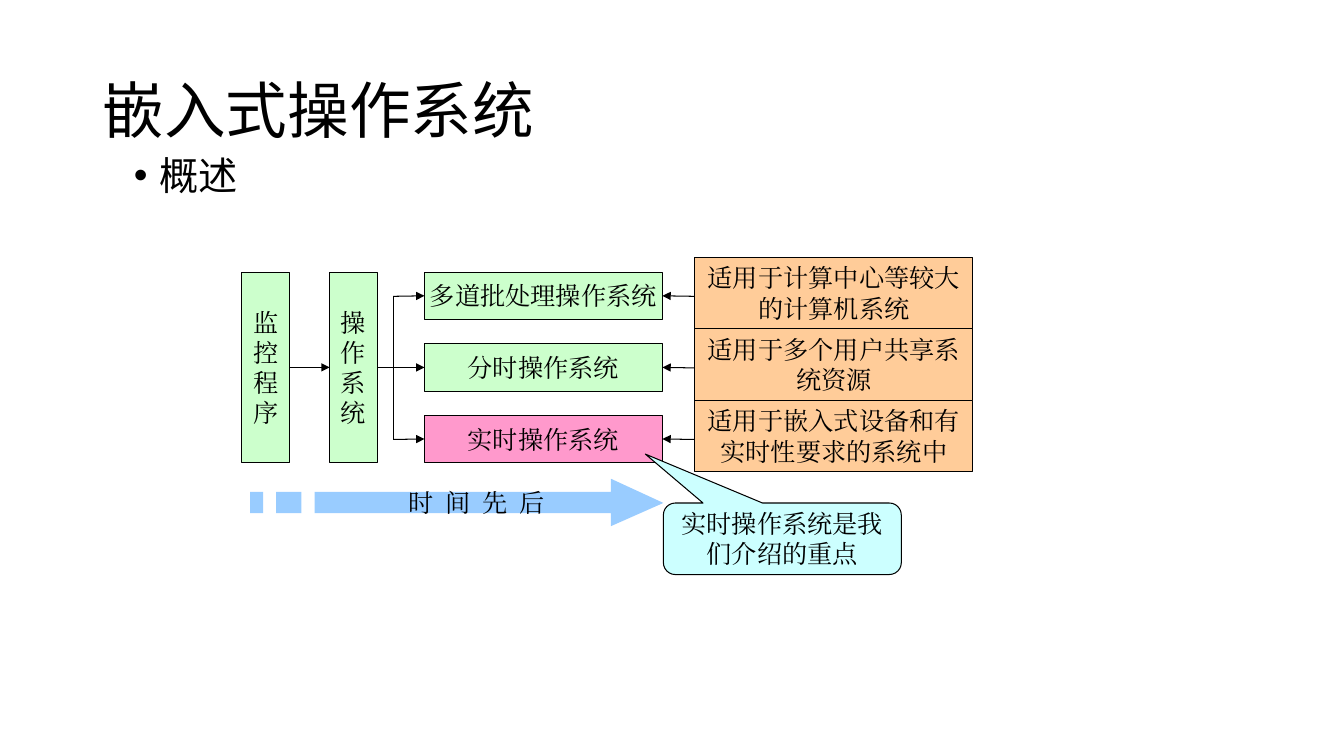
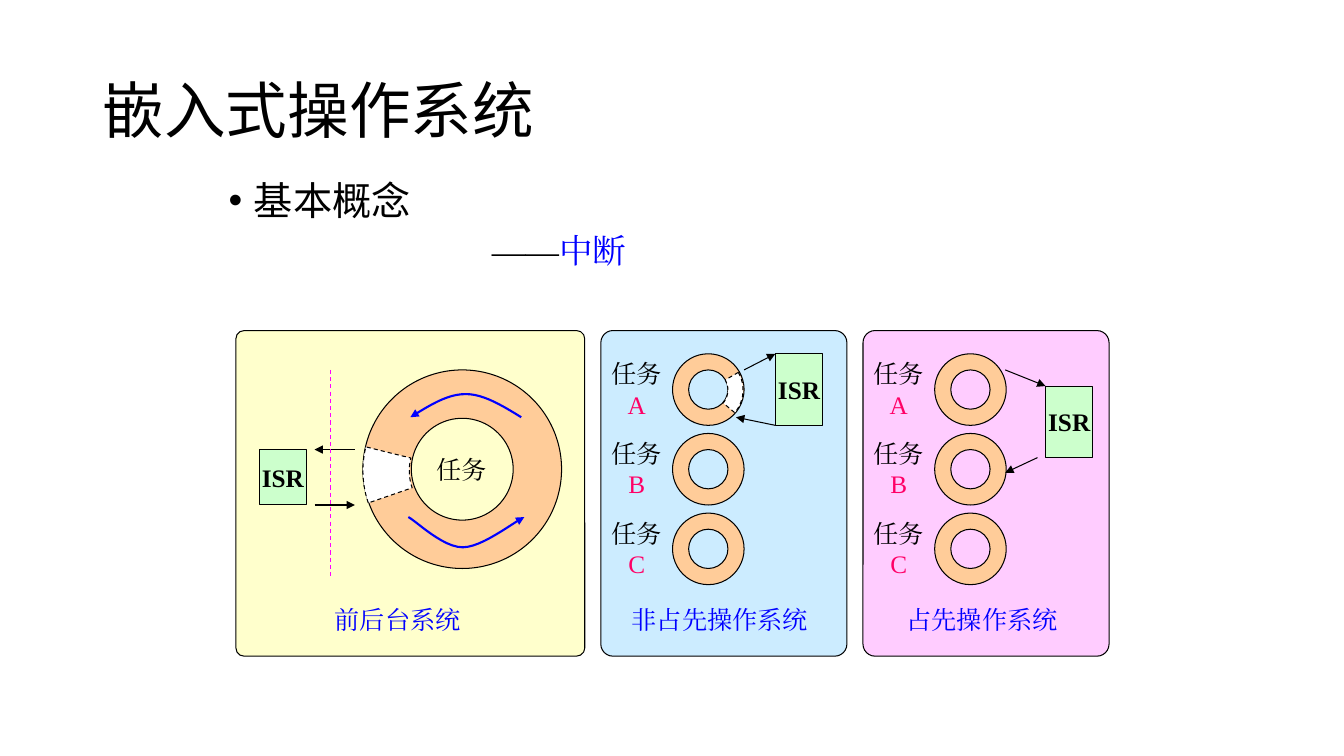
from dataclasses import dataclass
import math

from pptx import Presentation
from pptx.dml.color import RGBColor
from pptx.enum import dml, shapes, text
from pptx.oxml import ns
from pptx.oxml.xmlchemy import OxmlElement
from pptx.util import Inches, Pt


@dataclass(frozen=True)
class Theme:
    black: str = "000000"
    white: str = "FFFFFF"
    green: str = "CCFFCC"
    pink: str = "FF99CC"
    orange: str = "FFCC99"
    time_blue: str = "99CCFF"
    callout: str = "CCFFFF"
    yellow_panel: str = "FFFFCC"
    blue_panel: str = "CCECFF"
    violet_panel: str = "FFCCFF"
    accent: str = "0000FF"
    task_name: str = "FF0066"
    magenta: str = "FF00FF"
    heading_font: str = "Noto Sans CJK SC"
    body_font: str = "Times New Roman"
    title_size: float = 44
    bullet_size: float = 28
    subtitle_size: float = 24
    body_size: float = 18
    thin: float = 0.75
    thick: float = 1.5


THEME = Theme()
SHAPE = shapes.MSO_SHAPE
TOP, LEFT, BOTTOM, RIGHT = range(4)


def rgb(code):
    return RGBColor.from_string(code)


def write_text(frame, *paragraphs, size=THEME.body_size, font=THEME.body_font,
               color=THEME.black, bold=False, align=text.PP_ALIGN.CENTER,
               anchor=text.MSO_ANCHOR.MIDDLE, wrap=True, line_spacing=None,
               bullet=False, letter_spacing=0):
    """Fill a frame; a paragraph is a string or a list of (text, colour) runs."""
    frame.word_wrap = wrap
    frame.vertical_anchor = anchor
    for index, content in enumerate(paragraphs):
        paragraph = frame.add_paragraph() if index else frame.paragraphs[0]
        paragraph.alignment = align
        if line_spacing:
            paragraph.line_spacing = line_spacing
        if bullet:
            add_bullet(paragraph)
        runs = [(content, color)] if isinstance(content, str) else content
        for words, run_color in runs:
            run = paragraph.add_run()
            run.text = words
            run.font.size = Pt(size)
            run.font.bold = bold
            run.font.color.rgb = rgb(run_color)
            run.font.name = font
            properties = run.font._element
            east_asian = OxmlElement("a:ea")
            east_asian.set("typeface", font)
            properties.append(east_asian)
            if letter_spacing:
                properties.set("spc", str(letter_spacing * 100))


def add_bullet(paragraph):
    paragraph.space_before = Pt(10)
    properties = paragraph._p.get_or_add_pPr()
    properties.set("marL", str(Inches(0.25)))
    properties.set("indent", str(-Inches(0.25)))
    for tag, key, value in (("a:buFont", "typeface", "Arial"), ("a:buChar", "char", "•")):
        mark = OxmlElement(tag)
        mark.set(key, value)
        properties.append(mark)


def add_label(slide, box, *paragraphs, **style):
    label = slide.shapes.add_textbox(*map(Inches, box))
    style.setdefault("anchor", text.MSO_ANCHOR.TOP)
    write_text(label.text_frame, *paragraphs, **style)


def style_line(line, color=THEME.black, width=THEME.thin, dashed=False, arrow=False):
    line.color.rgb = rgb(color)
    line.width = Pt(width)
    if dashed:
        line.dash_style = dml.MSO_LINE.DASH
    if arrow:
        tip = OxmlElement("a:tailEnd")
        tip.set("type", "triangle")
        line._get_or_add_ln().append(tip)


def style_shape(shape, fill=None, **line_style):
    """Set the fill and outline; a line colour of None means no outline."""
    shape.shadow.inherit = False
    if fill:
        shape.fill.solid()
        shape.fill.fore_color.rgb = rgb(fill)
    else:
        shape.fill.background()
    if line_style.get("color", THEME.black) is None:
        shape.line.fill.background()
    else:
        style_line(shape.line, **line_style)


def add_box(slide, box, fill, *paragraphs, kind=SHAPE.RECTANGLE, adjust=(), **style):
    shape = slide.shapes.add_shape(kind, *map(Inches, box))
    for index, value in enumerate(adjust):
        shape.adjustments[index] = value
    style_shape(shape, fill)
    if paragraphs:
        write_text(shape.text_frame, *paragraphs, **style)
    return shape


def add_line(slide, start=(0, 0), end=(0, 0), begin_at=None, end_at=None, **style):
    """Draw a straight line; begin_at and end_at are (shape, side) joints."""
    line = slide.shapes.add_connector(shapes.MSO_CONNECTOR.STRAIGHT, *map(Inches, (*start, *end)))
    if begin_at:
        line.begin_connect(*begin_at)
    if end_at:
        line.end_connect(*end_at)
    style_line(line.line, **style)
    line._element.find(ns.qn("p:spPr")).append(OxmlElement("a:effectLst"))


def add_outline(slide, contours, fill=None, closed=True, **line_style):
    contours = [[(Inches(x), Inches(y)) for x, y in points] for points in contours]
    builder = slide.shapes.build_freeform(*contours[0][0])
    for index, points in enumerate(contours):
        if index:
            builder.move_to(*points[0])
        builder.add_line_segments(points[1:], close=closed)
    shape = builder.convert_to_shape()
    style_shape(shape, fill, **line_style)
    return shape


def rectangle_points(left, right, top, bottom):
    return [(left, top), (right, top), (right, bottom), (left, bottom)]


def bezier_points(start, *segments, steps=12):
    points = [start]
    for controls in segments:
        nodes = (points[-1], *controls)
        for step in range(1, steps + 1):
            t = step / steps
            weights = [math.comb(3, k) * t**k * (1 - t) ** (3 - k) for k in range(4)]
            points.append(tuple(sum(w * node[axis] for w, node in zip(weights, nodes))
                                for axis in (0, 1)))
    return points


def add_ring_gap(slide, center, inner, outer, first, last, steps=12):
    """Draw the white sector of a ring between two angles in degrees."""
    angles = [math.radians(first + (last - first) * i / steps) for i in range(steps + 1)]
    sector = [(center[0] + radius * math.cos(a), center[1] + radius * math.sin(a))
              for radius, arc in ((outer, angles), (inner, angles[::-1])) for a in arc]
    add_outline(slide, [sector], THEME.white, dashed=True)


def add_ring(slide, left, top, diameter, thickness):
    add_box(slide, (left, top, diameter, diameter), THEME.orange,
            kind=SHAPE.DONUT, adjust=[thickness / diameter])


def add_isr(slide, left, top, height):
    add_box(slide, (left, top, 0.47, height), THEME.green, "ISR", bold=True, wrap=False)


def start_slide(deck, topic, topic_box):
    slide = deck.slides.add_slide(deck.slide_layouts[6])
    heading = dict(font=THEME.heading_font, align=text.PP_ALIGN.LEFT, line_spacing=0.9)
    add_label(slide, (0.92, 0.4, 11.5, 1.45), "嵌入式操作系统", size=THEME.title_size,
              anchor=text.MSO_ANCHOR.MIDDLE, **heading)
    add_label(slide, topic_box, topic, size=THEME.bullet_size, bullet=True, **heading)
    return slide


def add_time_arrow(slide):
    top, bottom, upper, lower, neck = 4.75, 5.22, 4.88, 5.09, 6.06
    arrow = [(neck, top), (neck, upper), (3.12, upper), (3.12, lower),
             (neck, lower), (neck, bottom), (6.58, 4.99)]
    stripes = [rectangle_points(left, right, upper, lower)
               for left, right in ((2.74, 2.99), (2.48, 2.61))]
    shape = add_outline(slide, [arrow, *stripes], THEME.time_blue, color=None)
    shape.text_frame.margin_left = Inches(0.5)
    write_text(shape.text_frame, "时 间 先 后", wrap=False, letter_spacing=2)


def build_overview(deck):
    slide = start_slide(deck, "概述", (1.23, 1.5, 9, 0.73))
    monitor, system = [add_box(slide, (left, 2.7, 0.47, 1.89), THEME.green, *name, wrap=False)
                       for left, name in ((2.4, "监控程序"), (3.27, "操作系统"))]
    add_line(slide, begin_at=(monitor, RIGHT), end_at=(system, LEFT), arrow=True)

    kinds = (("多道批处理操作系统", THEME.green, "适用于计算中心等较大的计算机系统"),
             ("分时操作系统", THEME.green, "适用于多个用户共享系统资源"),
             ("实时操作系统", THEME.pink, "适用于嵌入式设备和有实时性要求的系统中"))
    pitch, bus_x, first_y = 0.71, 3.9, 2.94
    add_line(slide, (bus_x, first_y + 2 * pitch), (bus_x, first_y))
    for row, (name, fill, usage) in enumerate(kinds):
        y = first_y + row * pitch
        kind = add_box(slide, (4.21, 2.7 + row * pitch, 2.36, 0.47), fill, name, wrap=False)
        add_box(slide, (6.89, 2.55 + row * pitch, 2.76, pitch), THEME.orange, usage)
        source = (system, RIGHT) if row == 1 else None
        add_line(slide, (bus_x, y), begin_at=source, end_at=(kind, LEFT), arrow=True)
        add_line(slide, (6.89, y), end_at=(kind, RIGHT), arrow=True)

    add_time_arrow(slide)
    add_box(slide, (6.58, 4.99, 2.36, 0.71), THEME.callout, "实时操作系统是我们介绍的重点",
            kind=SHAPE.ROUNDED_RECTANGULAR_CALLOUT, adjust=(-0.576, -1.184, 0.167))


def add_panel(slide, left, width, fill, corner, caption, caption_box):
    add_box(slide, (left, 3.28, width, 3.23), fill,
            kind=SHAPE.ROUNDED_RECTANGLE, adjust=[corner])
    caption_left, caption_width = caption_box
    add_label(slide, (caption_left, 5.95, caption_width, 0.4), caption, color=THEME.accent)


def add_foreground_background(slide):
    add_panel(slide, 2.34, 3.46, THEME.yellow_panel, 0.025, "前后台系统", (3.12, 1.65))
    add_isr(slide, 2.57, 4.46, 0.55)
    add_line(slide, (3.52, 4.46), (3.12, 4.46), arrow=True)
    add_line(slide, (3.12, 5.01), (3.52, 5.01), arrow=True)
    add_line(slide, (3.28, 3.67), (3.28, 5.72), color=THEME.magenta, dashed=True)
    add_ring(slide, 3.6, 3.67, 1.97, 0.48)
    add_label(slide, (4.07, 4.46, 1.02, 0.4), "任务")
    add_ring_gap(slide, (4.58, 4.67), 0.52, 0.98, 161, 194)
    lower = bezier_points((4.05, 5.13), ((4.14, 5.18), (4.39, 5.43), (4.59, 5.43)),
                          ((4.78, 5.43), (5.08, 5.19), (5.2, 5.13)))
    upper = bezier_points((5.17, 4.14), ((4.99, 4.03), (4.8, 3.91), (4.62, 3.91)),
                          ((4.43, 3.91), (4.25, 4.03), (4.07, 4.14)))
    for turn in (lower, upper):
        add_outline(slide, [turn], closed=False, color=THEME.accent,
                    width=THEME.thick, arrow=True)


def add_task_panel(slide, left, fill, caption):
    add_panel(slide, left, 2.44, fill, 0.049, caption, (left + 0.08, 2.2))
    for row, name in enumerate("ABC"):
        top = 3.51 + 0.79 * row
        add_ring(slide, left + 0.71, top, 0.71, 0.16)
        add_label(slide, (left, top, 0.71, 0.7), [("任务", THEME.black), (name, THEME.task_name)])


def build_interrupts(deck):
    slide = start_slide(deck, "基本概念", (2.17, 1.75, 3.75, 0.73))
    add_label(slide, (4.78, 2.23, 4.49, 0.5), [("——", THEME.black), ("中断", THEME.accent)],
              size=THEME.subtitle_size, align=text.PP_ALIGN.LEFT)
    add_foreground_background(slide)

    add_task_panel(slide, 5.96, THEME.blue_panel, "非占先操作系统")
    add_ring_gap(slide, (7.02, 3.87), 0.2, 0.35, -30, 40)
    add_isr(slide, 7.69, 3.51, 0.71)
    add_line(slide, (7.38, 3.67), (7.69, 3.51), arrow=True)
    add_line(slide, (7.69, 4.22), (7.3, 4.14), arrow=True)

    add_task_panel(slide, 8.56, THEME.violet_panel, "占先操作系统")
    add_isr(slide, 10.37, 3.83, 0.71)
    add_line(slide, (9.97, 3.67), (10.37, 3.83), arrow=True)
    add_line(slide, (10.29, 4.54), (9.97, 4.69), arrow=True)


def main():
    deck = Presentation()
    deck.slide_width, deck.slide_height = Inches(13.33), Inches(7.5)
    build_overview(deck)
    build_interrupts(deck)
    deck.save("out.pptx")


if __name__ == "__main__":
    main()
